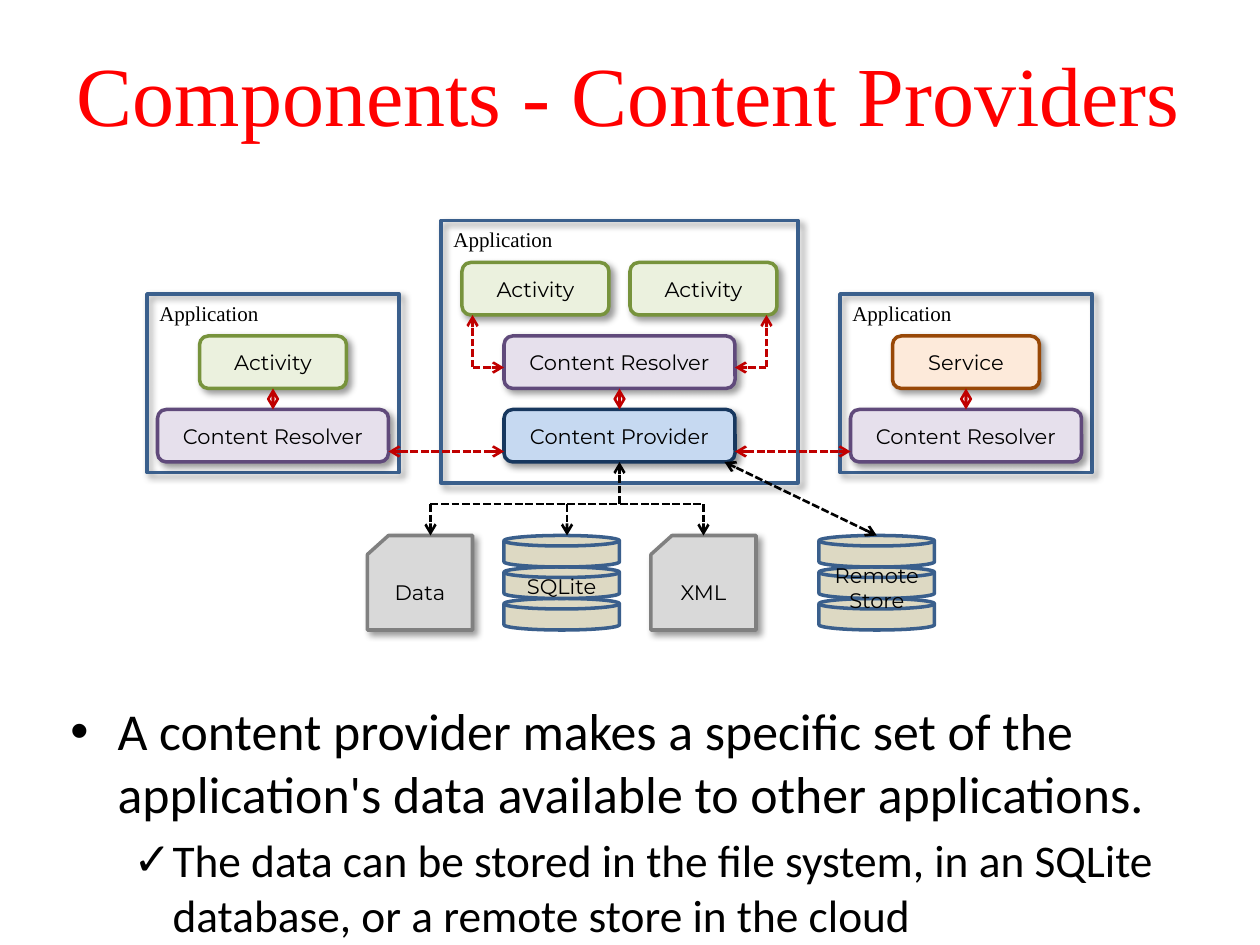
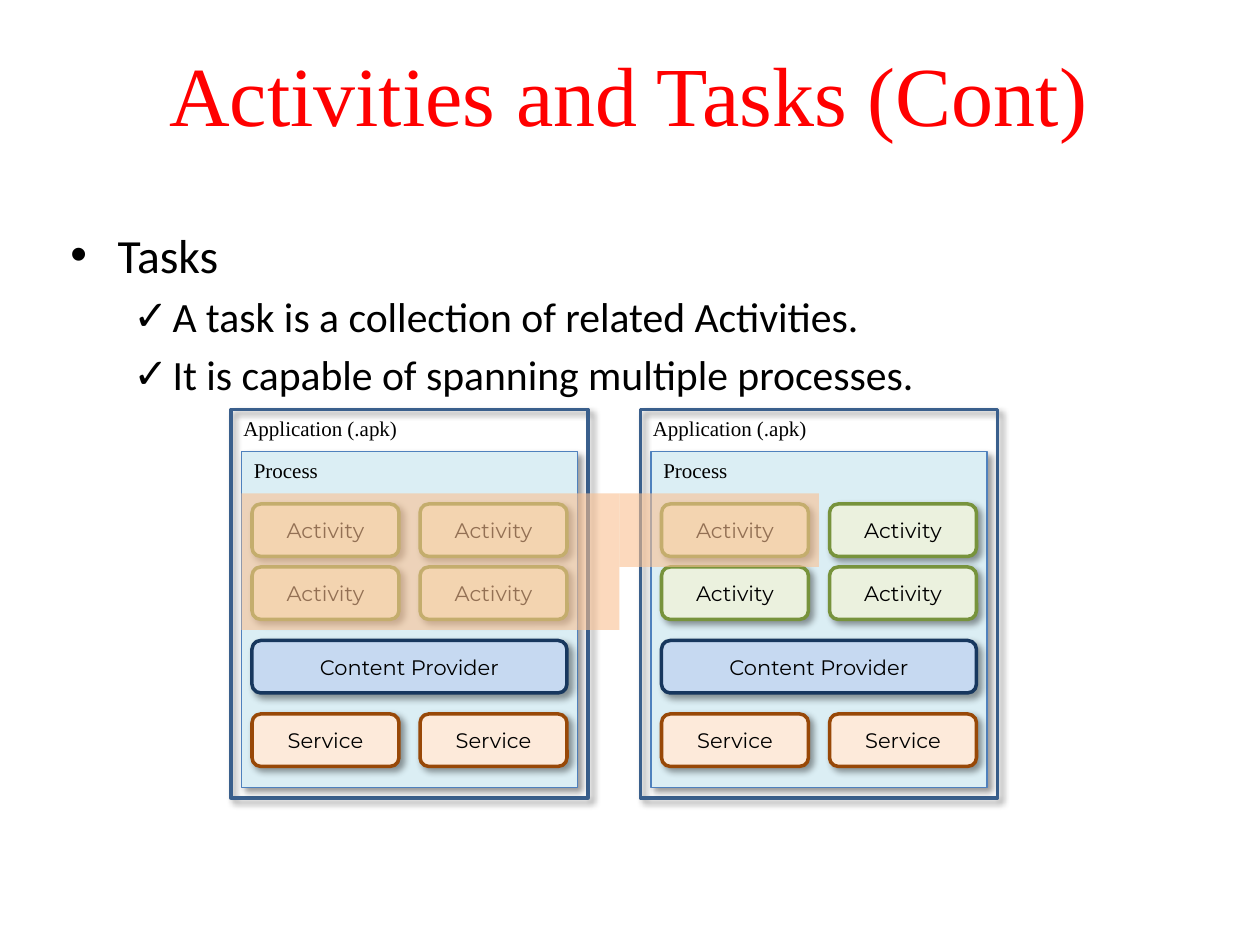
import pptx
import pptx.util
import pptx.dml.color
import pptx.enum.dml
import pptx.enum.shapes
import pptx.enum.text
import pptx.oxml.ns
import lxml.etree

Cm, Pt = pptx.util.Cm, pptx.util.Pt
qn = pptx.oxml.ns.qn
MSO = pptx.enum.shapes.MSO_SHAPE
ALIGN = pptx.enum.text.PP_ALIGN

SERIF, SANS, BODY = "Times New Roman", "Montserrat", "Calibri"
BLACK, TITLE_RED, LINK_RED, FRAME_BLUE = "000000", "FF0000", "C00000", "3A5F8C"
STYLES = {
    "Activity": ("EBF1DE", "77933C"),
    "Service": ("FDEADA", "984807"),
    "Content Resolver": ("E6E0EC", "604A7B"),
    "Content Provider": ("C6D9F1", "17375E"),
}
TITLE_AREA = (0.66, 0.28, 24.03, 3.18)

PROVIDERS = {
    "title": "Components - Content Providers",
    "body_area": (1.17, 13.97, 23.11, 4.52),
    "sizes": (29.6, 25.9),
    "bullets": [
        (0, "A content provider makes a specific set of the application's data available to other applications."),
        (1, "The data can be stored in the file system, in an SQLite database, or a remote store in the cloud"),
    ],
}
TASKS = {
    "title": "Activities and Tasks (Cont)",
    "body_area": (1.17, 4.42, 23.11, 3.43),
    "sizes": (27.2, 23.8),
    "bullets": [
        (0, "Tasks"),
        (1, "A task is a collection of related Activities."),
        (1, "It is capable of spanning multiple processes."),
    ],
}

# Diagram places are in twelfths of an inch.
APPLICATIONS = [(14, 28, 24, 17), (42, 21, 34, 25), (80, 28, 24, 17)]
COMPONENTS = [
    ("Activity", 19, 32, 14), ("Content Resolver", 15, 39, 22),
    ("Activity", 44, 25, 14), ("Activity", 60, 25, 14),
    ("Content Resolver", 48, 32, 22), ("Content Provider", 48, 39, 22),
    ("Service", 85, 32, 14), ("Content Resolver", 81, 39, 22),
]
STACKED_PAIRS = [(1, 0), (5, 4), (7, 6)]
PROVIDER = 5
FILES = [("Data", 35), ("XML", 62)]
DATABASES = [(["SQLite"], 48, (49, 54, 15, 3.6), ALIGN.LEFT),
             (["Remote", "Store"], 78, (76, 53, 15, 6), ALIGN.CENTER)]
STORE_TOP = 51
RED_LINKS = [
    ((37, 43), (48, 43), "both"), ((70, 43), (81, 43), "both"),
    ((45, 35), (48, 35), "end"), ((45, 35), (45, 30), "end"),
    ((73, 35), (70, 35), "end"), ((73, 35), (73, 30), "end"),
]
BUS_Y = 48
BUS_DROPS = [41, 54, 67]

PACKAGE_LEFTS = [22, 61]
PACKAGE_TOP = 39
PACKAGE_PARTS = [(name, x, y, 14)
                 for name, y in [("Activity", 9), ("Activity", 15), ("Service", 29)]
                 for x in (2, 18)] + [("Content Provider", 2, 22, 30)]
TASK_SPANS = [(23, 47, 36, 13), (59, 47, 19, 7)]


def color(value):
    return pptx.dml.color.RGBColor.from_string(value)


def grid(*cells):
    return [Cm(2.54 * c / 12) for c in cells]


def child(parent, tag, **attrs):
    return lxml.etree.SubElement(parent, qn(tag), {k: str(v) for k, v in attrs.items()})


def set_font(p, name, size, value):
    p.font.name, p.font.size = name, Pt(size)
    p.font.color.rgb = color(value)


def write(sp, lines, name, size, value=BLACK, align=ALIGN.LEFT, anchor=None):
    tf = sp.text_frame
    tf.word_wrap = True
    if anchor is not None:
        tf.vertical_anchor = anchor
    for i, line in enumerate(lines):
        p = tf.add_paragraph() if i else tf.paragraphs[0]
        p.text = line
        p.alignment = align
        set_font(p, name, size, value)


def add_label(s, lines, place, name=SERIF, align=ALIGN.LEFT):
    write(s.shapes.add_textbox(*grid(*place)), lines, name, 12, align=align)


def add_box(s, kind, place, fill=None, line=None, width=2, shadow=True, text=None):
    sp = s.shapes.add_shape(kind, *grid(*place))
    sp.shadow.inherit = False
    if fill:
        sp.fill.solid()
        sp.fill.fore_color.rgb = color(fill)
    else:
        sp.fill.background()
    if line:
        sp.line.color.rgb = color(line)
        sp.line.width = Pt(width)
    else:
        sp.line.fill.background()
    if shadow:
        effects = sp._element.spPr.find(qn("a:effectLst"))
        outer = child(effects, "a:outerShdw", blurRad=Pt(4), dist=Pt(3),
                      dir=45 * 60000, algn="tl", rotWithShape=0)
        child(child(outer, "a:srgbClr", val=BLACK), "a:alpha", val=40000)
    if text:
        write(sp, [text], SANS, 12, align=ALIGN.CENTER,
              anchor=pptx.enum.text.MSO_ANCHOR.MIDDLE)
    return sp


def add_component(s, name, x, y, w):
    fill, line = STYLES[name]
    return add_box(s, MSO.ROUNDED_RECTANGLE, (x, y, w, 5), fill, line, text=name)


def add_link(s, start, end, value, heads=""):
    cx = s.shapes.add_connector(pptx.enum.shapes.MSO_CONNECTOR.STRAIGHT, *grid(*start, *end))
    cx.line.color.rgb = color(value)
    cx.line.width = Pt(1.5)
    cx.line.dash_style = pptx.enum.dml.MSO_LINE.SQUARE_DOT
    if heads == "both":
        child(cx.get_or_add_ln(), "a:headEnd", type="arrow")
    if heads:
        child(cx.get_or_add_ln(), "a:tailEnd", type="arrow")
    child(cx._element.spPr, "a:effectLst")
    return cx


def add_text_slide(prs, content):
    s = prs.slides.add_slide(prs.slide_layouts[6])
    title = s.shapes.add_textbox(*map(Cm, TITLE_AREA))
    write(title, [content["title"]], SERIF, 48, TITLE_RED, ALIGN.CENTER,
          pptx.enum.text.MSO_ANCHOR.MIDDLE)
    tf = s.shapes.add_textbox(*map(Cm, content["body_area"])).text_frame
    tf.word_wrap = True
    for i, (level, text) in enumerate(content["bullets"]):
        p = tf.add_paragraph() if i else tf.paragraphs[0]
        p.text, p.level = text, level
        size = content["sizes"][level]
        margin, hang, mark = [(0.95, 0.95, "•"), (2.06, 0.79, "✓")][level]
        pPr = p._p.get_or_add_pPr()
        pPr.set("marL", str(Cm(margin)))
        pPr.set("indent", str(-Cm(hang)))
        child(pPr, "a:buFont", typeface="Arial")
        child(pPr, "a:buChar", char=mark)
        if i:
            p.space_before = Pt(0.2 * size)
        set_font(p, BODY, size, BLACK)
    return s


def build_providers(prs):
    s = add_text_slide(prs, PROVIDERS)
    for x, y, w, h in APPLICATIONS:
        add_box(s, MSO.RECTANGLE, (x, y, w, h), line=FRAME_BLUE)
        add_label(s, ["Application"], (x, y, 14, 3.6))
    boxes = [add_component(s, *part) for part in COMPONENTS]
    for name, x in FILES:
        add_box(s, MSO.FLOWCHART_CARD, (x, STORE_TOP, 10, 9), "D9D9D9", "808080", text=name)
    for lines, x, place, align in DATABASES:
        for level in (2, 1, 0):
            add_box(s, MSO.FLOWCHART_MAGNETIC_DISK, (x, STORE_TOP + 3 * level, 11, 3),
                    "DDD9C3", FRAME_BLUE, shadow=False)
        add_label(s, lines, place, SANS, align)

    for start, end, heads in RED_LINKS:
        add_link(s, start, end, LINK_RED, heads)
    for lower, upper in STACKED_PAIRS:
        cx = add_link(s, (0, 0), (1, 1), LINK_RED, "both")
        cx.begin_connect(boxes[lower], 0)
        cx.end_connect(boxes[upper], 2)
    add_link(s, (BUS_DROPS[0], BUS_Y), (BUS_DROPS[-1], BUS_Y), BLACK)
    for x in BUS_DROPS:
        add_link(s, (x, BUS_Y), (x, STORE_TOP), BLACK, "end")
    trunk = add_link(s, (59, BUS_Y), (59, 44), BLACK, "end")
    trunk.end_connect(boxes[PROVIDER], 2)
    add_link(s, (83.5, STORE_TOP), (69, 44), BLACK, "both")


def build_tasks(prs):
    s = add_text_slide(prs, TASKS)
    top = PACKAGE_TOP
    for left in PACKAGE_LEFTS:
        add_box(s, MSO.RECTANGLE, (left, top, 34, 37), line=FRAME_BLUE)
        add_label(s, ["Application (.apk)"], (left, top, 19, 3.6))
        add_box(s, MSO.RECTANGLE, (left + 1, top + 4, 32, 32), "DBEEF4", "4F81BD", 1)
        add_label(s, ["Process"], (left + 1, top + 4, 19, 3.6))
        for name, x, y, w in PACKAGE_PARTS:
            add_component(s, name, left + x, top + y, w)
    for span in TASK_SPANS:
        sp = add_box(s, MSO.RECTANGLE, span, "FAC090", shadow=False)
        tint = sp._element.spPr.find(qn("a:solidFill")).find(qn("a:srgbClr"))
        child(tint, "a:alpha", val=59000)


def main():
    prs = pptx.Presentation()
    prs.slide_width, prs.slide_height = Cm(25.4), Cm(19.05)
    build_providers(prs)
    build_tasks(prs)
    prs.save("out.pptx")


if __name__ == "__main__":
    main()
